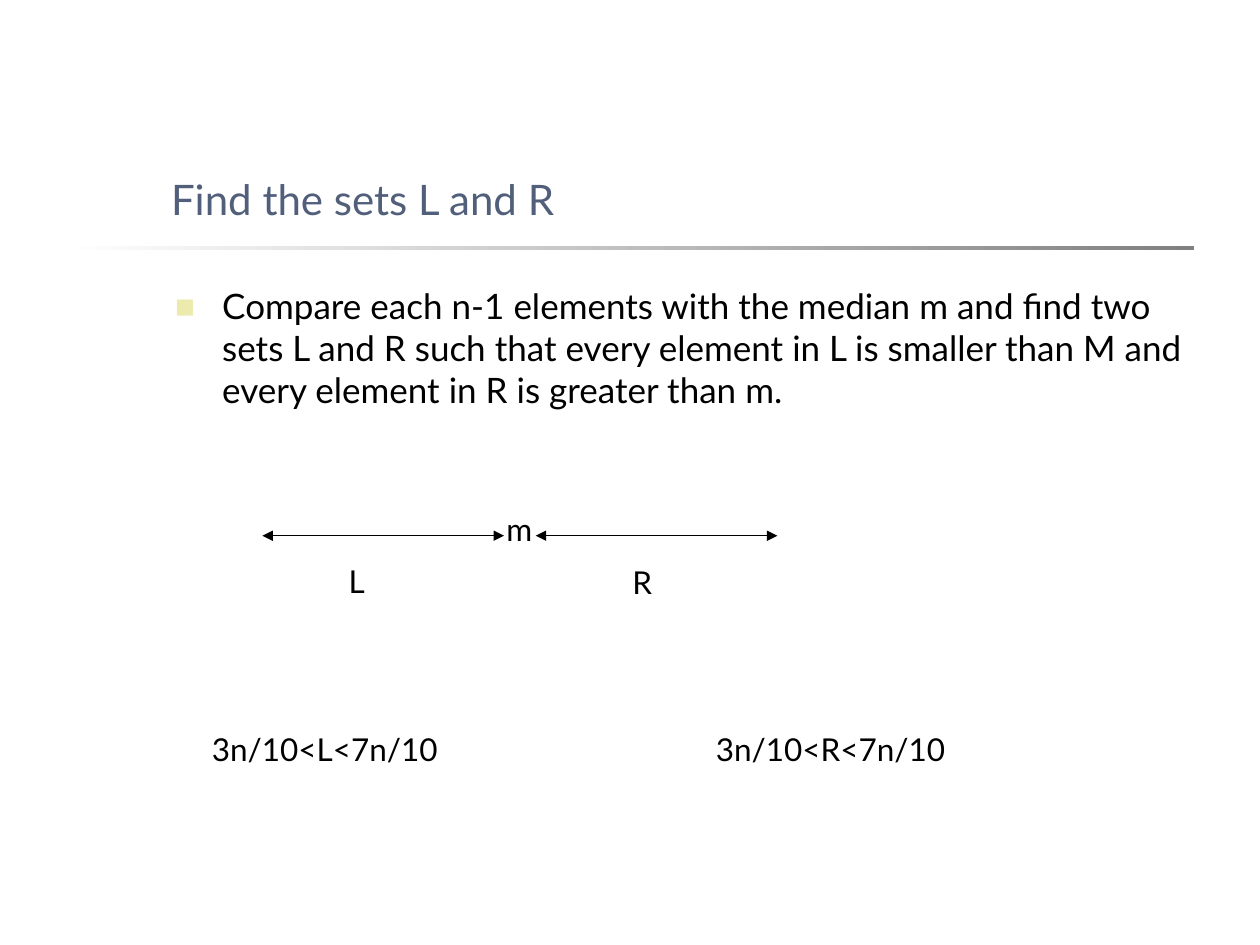
import pptx
import pptx.util
import pptx.dml.color
import pptx.enum.shapes
import pptx.enum.text
import pptx.oxml
import pptx.oxml.ns
from pptx.util import Cm, Pt

RGBColor = pptx.dml.color.RGBColor
BLACK = RGBColor(0x00, 0x00, 0x00)
WHITE = RGBColor(0xFF, 0xFF, 0xFF)
GRAY = RGBColor(0x80, 0x80, 0x80)
SLATE = RGBColor(0x51, 0x5F, 0x7B)
SAND = RGBColor(0xEC, 0xEA, 0xAC)
FONT = "Lato"


def add_node(parent, tag, **attrs):
    node = pptx.oxml.parse_xml(f"<a:{tag} {pptx.oxml.ns.nsdecls('a')}/>")
    for name, value in attrs.items():
        node.set(name, value)
    parent.append(node)
    return node


def add_text(text, left, top, width, height, size=18, color=BLACK):
    box = slide.shapes.add_textbox(Cm(left), Cm(top), Cm(width), Cm(height))
    box.text_frame.word_wrap = True
    box.text_frame.text = text
    font = box.text_frame.paragraphs[0].runs[0].font
    font.name = FONT
    font.size = Pt(size)
    font.color.rgb = color
    return box


deck = pptx.Presentation()
deck.slide_width, deck.slide_height = Cm(25.4), Cm(19.05)
slide = deck.slides.add_slide(deck.slide_layouts[6])

# Rule under the title
rule = slide.shapes.add_shape(pptx.enum.shapes.MSO_SHAPE.RECTANGLE,
                              Cm(1.22), Cm(4.95), Cm(22.86), Cm(0.09))
rule.shadow.inherit = False
rule.line.fill.background()
rule.fill.gradient()
rule.fill.gradient_angle = 0
for stop, color in zip(rule.fill.gradient_stops, (WHITE, GRAY)):
    stop.color.rgb = color

# Title and bullet
title = add_text("Find the sets L and R", 3.2, 0.58, 21.64, 4.06, 24, SLATE)
title.text_frame.vertical_anchor = pptx.enum.text.MSO_ANCHOR.BOTTOM

body = add_text(
    "Compare each n-1 elements with the median m and find two sets L and R "
    "such that every element in L is smaller than M and every element in R "
    "is greater than m.", 3.28, 5.61, 21.59, 3.07, 20)
props = body.text_frame.paragraphs[0]._p.get_or_add_pPr()
props.set("marL", str(Cm(0.95)))
props.set("indent", str(-Cm(0.95)))
add_node(add_node(props, "buClr"), "srgbClr", val=str(SAND))
add_node(props, "buSzPct", val="60000")
add_node(props, "buFont", typeface=FONT)
add_node(props, "buChar", char="■")

# Ranges on both sides of the median
for left in (5.29, 10.8):
    arrow = slide.shapes.add_connector(
        pptx.enum.shapes.MSO_CONNECTOR.STRAIGHT,
        Cm(left), Cm(10.8), Cm(left + 4.87), Cm(10.8))
    arrow.line.color.rgb = BLACK
    arrow.line.width = Pt(0.75)
    line = arrow.line._get_or_add_ln()
    for end in ("headEnd", "tailEnd"):
        add_node(line, end, type="triangle")
    add_node(arrow._element.spPr, "effectLst")

for text, left, top, width in (
    ("m", 9.96, 10.16, 1.07),
    ("L", 6.78, 11.2, 1.07),
    ("R", 12.5, 11.22, 1.27),
    ("3n/10<L<7n/10", 4.02, 14.6, 7.62),
    ("3n/10<R<7n/10", 14.18, 14.6, 5.51),
):
    add_text(text, left, top, width, 1.02)

deck.save("out.pptx")
